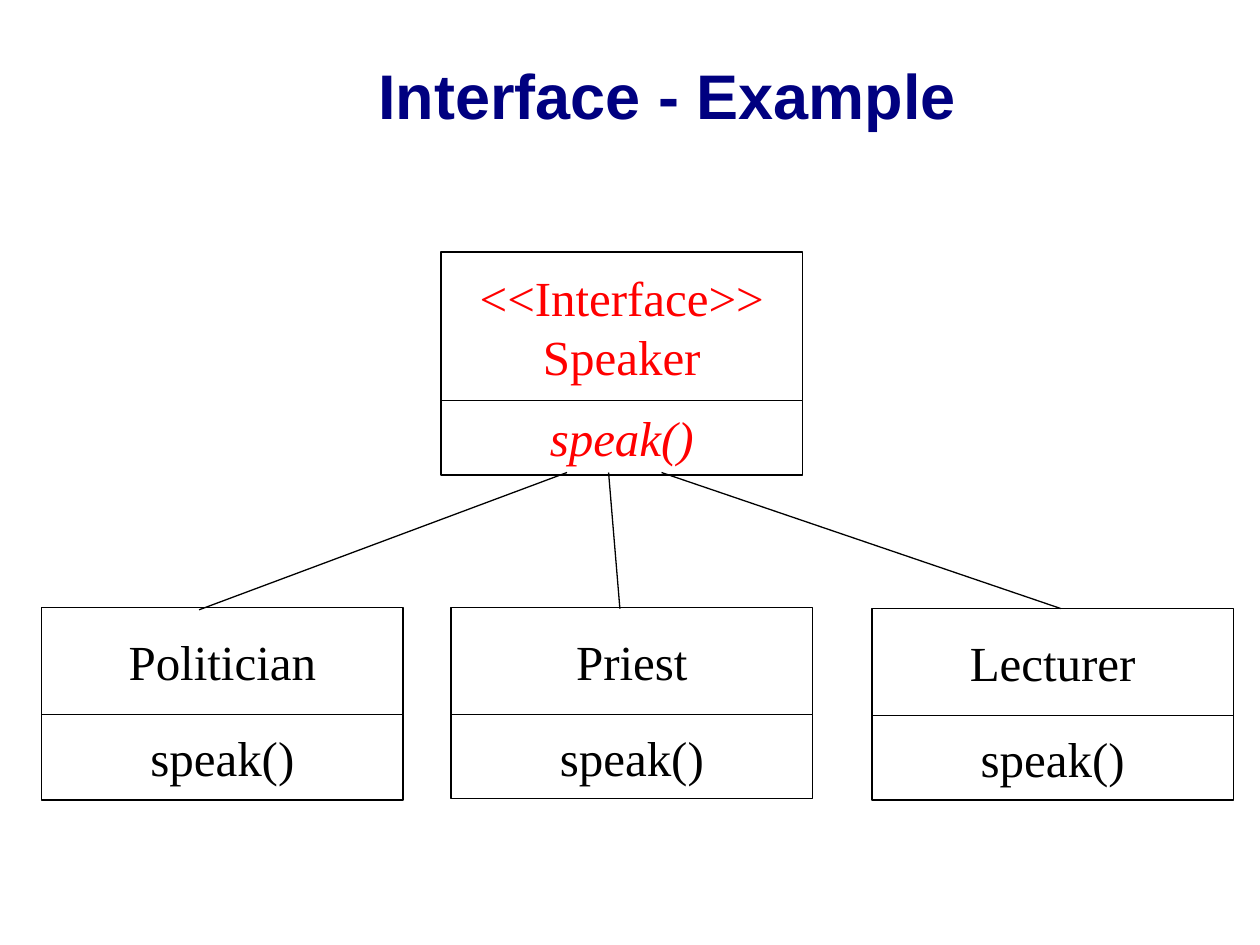
from pptx import Presentation
from pptx.dml.color import RGBColor
from pptx.enum.shapes import MSO_CONNECTOR, MSO_SHAPE
from pptx.enum.text import MSO_ANCHOR, PP_ALIGN
from pptx.oxml.ns import qn
from pptx.util import Inches, Pt

RECT = MSO_SHAPE.RECTANGLE
LINE = MSO_CONNECTOR.STRAIGHT
MIDDLE = MSO_ANCHOR.MIDDLE
CENTER = PP_ALIGN.CENTER
COLORS = {"navy": "000080", "red": "FF0000", "black": "000000", "white": "FFFFFF"}


def color(name):
    return RGBColor.from_string(COLORS[name])


def write(shape, text, size=28, face="Times New Roman", ink="black",
          bold=False, italic=False, wrap=False):
    frame = shape.text_frame
    frame.text = text
    frame.word_wrap = wrap
    frame.vertical_anchor = MIDDLE
    for para in frame.paragraphs:
        para.alignment = CENTER
        font = para.runs[0].font
        font.size = Pt(size)
        font.name = face
        font.bold = bold
        font.italic = italic
        font.color.rgb = color(ink)


deck = Presentation()
deck.slide_width = Inches(10)
deck.slide_height = Inches(7.5)
slide = deck.slides.add_slide(deck.slide_layouts[6])
shapes = slide.shapes

title = shapes.add_textbox(Inches(2.37), Inches(-0.06), Inches(5.85), Inches(1.61))
write(title, "Interface - Example", size=36, face="Arial", ink="navy", bold=True, wrap=True)

width = 2.87
boxes = [
    ("speak()", 3.5, 3.17, 0.6, "red", True),
    ("<<Interface>>\nSpeaker", 3.5, 2, 1.18, "red", False),
]
for name, left, top, low in [
    ("Politician", 0.33, 4.82, 0.68),
    ("Priest", 3.58, 4.82, 0.67),
    ("Lecturer", 6.92, 4.83, 0.67),
]:
    boxes.append((name, left, top, 0.85, "black", False))
    boxes.append(("speak()", left, top + 0.85, low, "black", False))

for text, left, top, height, ink, italic in boxes:
    box = shapes.add_shape(RECT, Inches(left), Inches(top), Inches(width), Inches(height))
    box.shadow.inherit = False
    box.fill.solid()
    box.fill.fore_color.rgb = color("white")
    box.line.color.rgb = color("black")
    box.line.width = Pt(0.75)
    write(box, text, ink=ink, italic=italic)

for start, end, foot in [(4.5, 1.58, 4.84), (4.83, 4.92, 4.83), (5.25, 8.42, 4.83)]:
    link = shapes.add_connector(LINE, Inches(start), Inches(3.75), Inches(end), Inches(foot))
    link.line.color.rgb = color("black")
    link.line.width = Pt(0.75)
    props = link._element.spPr
    props.append(props.makeelement(qn("a:effectLst"), {}))

deck.save("out.pptx")
